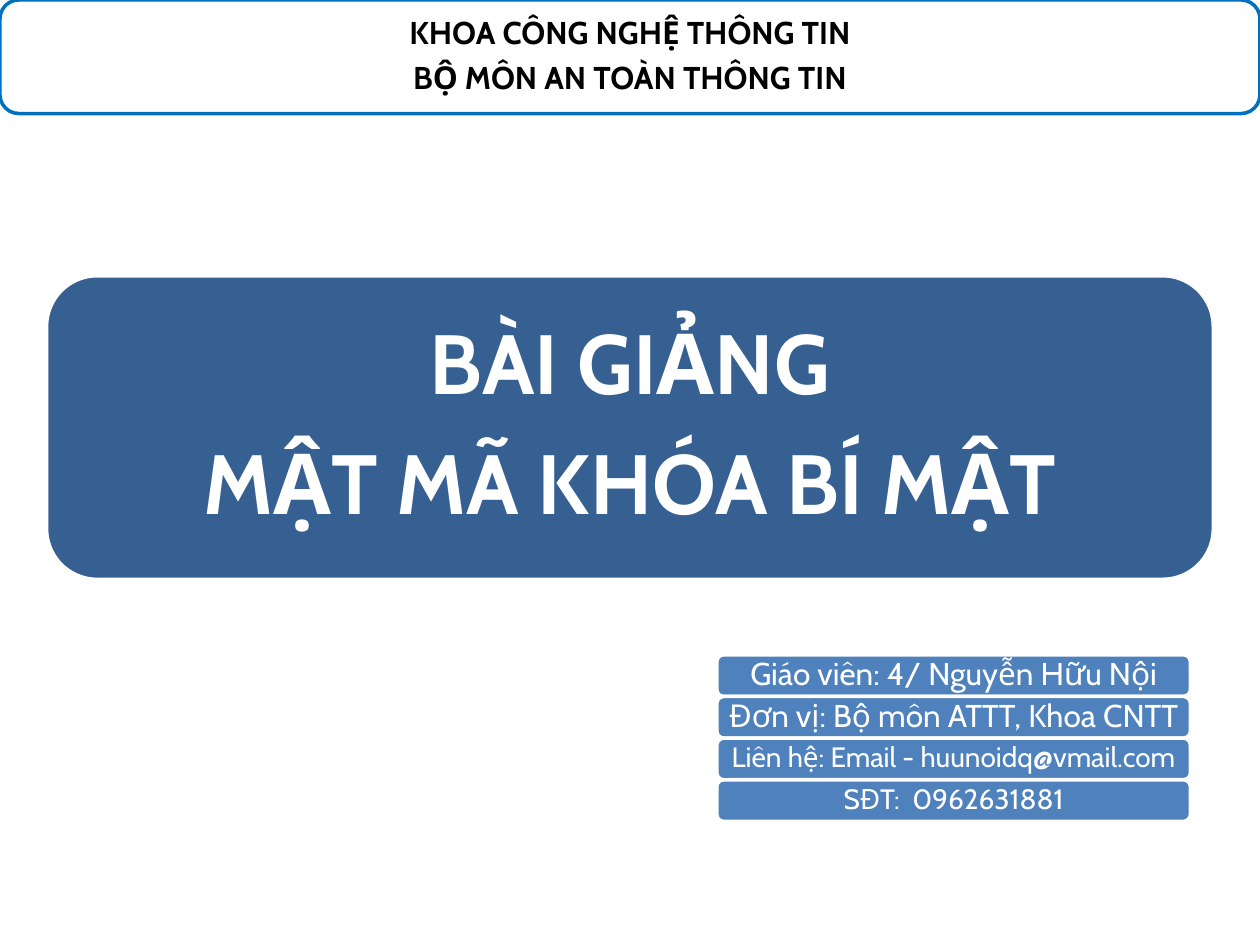
import dataclasses

import pptx
import pptx.dml.color
import pptx.enum.shapes
import pptx.enum.text
import pptx.util

Cm = pptx.util.Cm
Pt = pptx.util.Pt

HUES = {
    "white": "FFFFFF",
    "black": "000000",
    "navy": "376092",
    "blue": "4F81BD",
    "edge": "0070C0",
}


@dataclasses.dataclass
class Box:
    left: float
    top: float
    width: float
    height: float
    fill: str
    line: str


@dataclasses.dataclass
class Style:
    size: int
    hue: str
    bold: bool
    side: float
    cap: float
    wrap: bool = True


def color(name: str) -> pptx.dml.color.RGBColor:
    return pptx.dml.color.RGBColor.from_string(HUES[name])


def place(shape, box: Box) -> None:
    shape.left, shape.top = Cm(box.left), Cm(box.top)
    shape.width, shape.height = Cm(box.width), Cm(box.height)


def draw(slide, box: Box):
    kind = pptx.enum.shapes.MSO_SHAPE.ROUNDED_RECTANGLE
    shape = slide.shapes.add_shape(kind, 0, 0, 0, 0)
    place(shape, box)
    shape.shadow.inherit = False
    shape.fill.solid()
    shape.fill.fore_color.rgb = color(box.fill)
    shape.line.color.rgb = color(box.line)
    shape.line.width = Pt(2)
    return shape


def write(shape, text: str, style: Style) -> None:
    frame = shape.text_frame
    frame.text = text
    frame.word_wrap = style.wrap
    frame.auto_size = pptx.enum.text.MSO_AUTO_SIZE.NONE
    frame.vertical_anchor = pptx.enum.text.MSO_ANCHOR.MIDDLE
    frame.margin_left = frame.margin_right = Cm(style.side)
    frame.margin_top = frame.margin_bottom = Cm(style.cap)
    for para in frame.paragraphs:
        para.alignment = pptx.enum.text.PP_ALIGN.CENTER
        para.line_spacing = 0.9
        para.space_before = Pt(0)
        para.space_after = Pt(style.size * 0.35)
        for run in para.runs:
            run.font.name = "Cabin"
            run.font.size = Pt(style.size)
            run.font.bold = style.bold
            run.font.color.rgb = color(style.hue)


def main() -> None:
    deck = pptx.Presentation()
    deck.slide_width, deck.slide_height = Cm(25.4), Cm(19.05)
    slide = deck.slides.add_slide(deck.slide_layouts.get_by_name("Title Only"))

    # Lecture title on its panel; the panel goes behind the placeholder
    box = Box(0.94, 5.56, 23.52, 6.12, "navy", "white")
    panel = draw(slide, box)
    title = slide.shapes.title
    title._element.addprevious(panel._element)
    place(title, box)
    write(title, "BÀI GIẢNG\nMẬT MÃ KHÓA BÍ MẬT",
          Style(48, "white", True, 0.5, 0.5))

    # Contact bars
    rows = [
        ("Giáo viên: 4/ Nguyễn Hữu Nội", 18),
        ("Đơn vị: Bộ môn ATTT, Khoa CNTT", 18),
        ("Liên hệ: Email - huunoidq@vmail.com", 16),
        ("SĐT:  0962631881", 16),
    ]
    for i, (text, size) in enumerate(rows):
        bar = draw(slide, Box(14.45, 13.2 + i * 0.84, 9.55, 0.84,
                              "blue", "white"))
        write(bar, text, Style(size, "white", False, 0.18, 0.09, False))

    # Faculty banner
    banner = draw(slide, Box(0, 0, 25.4, 2.29, "white", "edge"))
    write(banner, "KHOA CÔNG NGHỆ THÔNG TIN\nBỘ MÔN AN TOÀN THÔNG TIN",
          Style(18, "black", True, 0.18, 0.18))

    deck.save("out.pptx")


if __name__ == "__main__":
    main()
